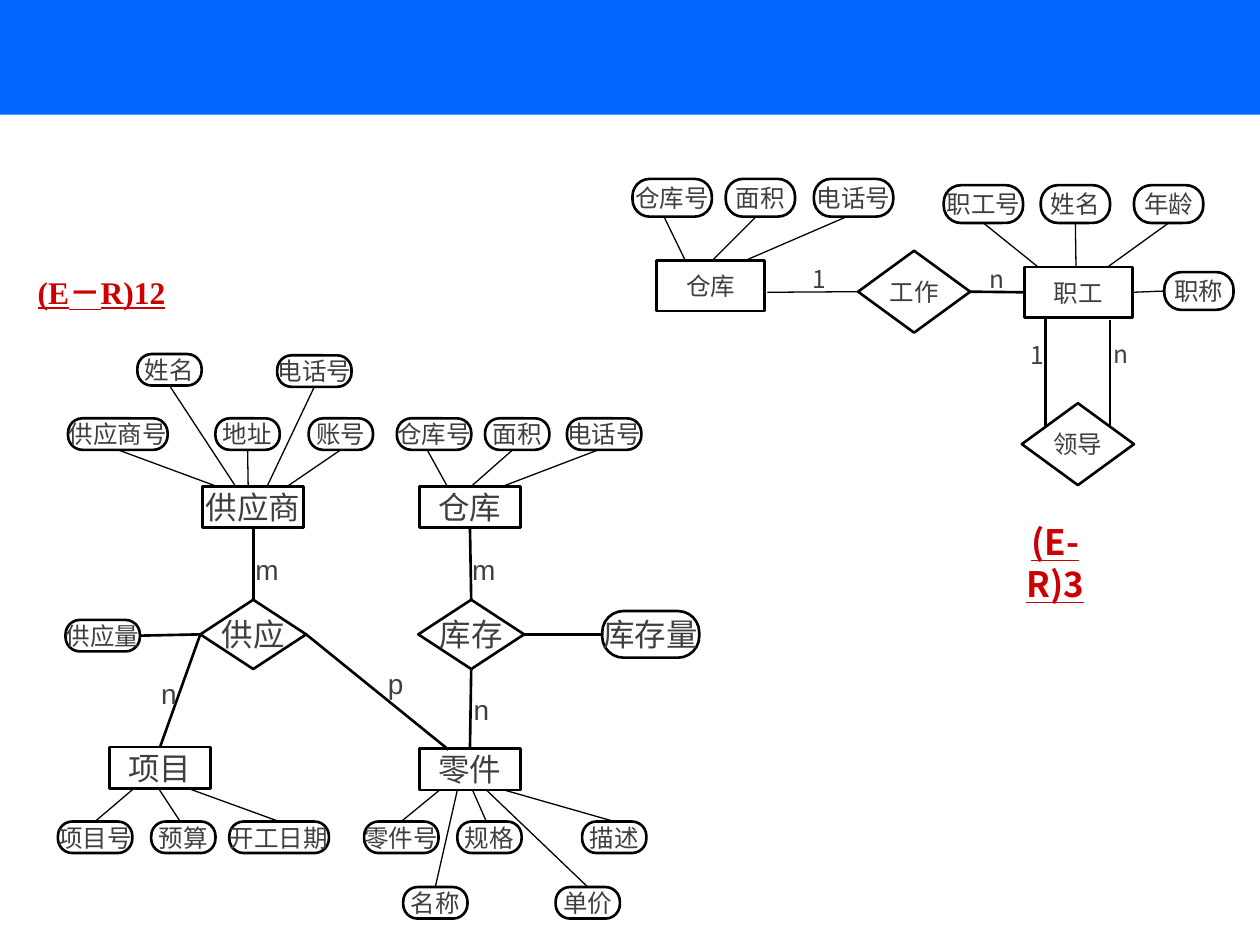
import dataclasses
import typing

import lxml.etree
import pptx
import pptx.dml.color
import pptx.enum.lang
import pptx.enum.shapes
import pptx.enum.text
import pptx.oxml.ns
import pptx.util

HUES = {"bar": "0066FF", "line": "000000", "text": "3F3F3F", "title": "CC0000"}
FORMS = pptx.enum.shapes.MSO_SHAPE
KINDS = {"entity": FORMS.RECTANGLE, "bond": FORMS.DIAMOND, "trait": FORMS.ROUNDED_RECTANGLE}
ALIGN = pptx.enum.text.PP_ALIGN
THICK, THIN = 1.5, 0.75
TOP, LEFT, BOTTOM, RIGHT = range(4)
CHINESE = pptx.enum.lang.MSO_LANGUAGE_ID.SIMPLIFIED_CHINESE


@dataclasses.dataclass
class Style:
    font: str
    size: int       # entities and bonds
    sizes: dict     # width and height of each kind of box
    widths: dict    # trait width by number of letters
    height: float   # trait height


@dataclasses.dataclass
class Node:
    kind: str
    text: str
    x: float
    y: float
    box: typing.Optional[tuple] = None
    size: typing.Optional[int] = None


@dataclasses.dataclass
class Trait:
    owner: str
    text: str
    x: float
    y: float
    foot: float                          # x where the line meets the owner
    tip: typing.Optional[float] = None   # x at the trait, if not its middle


@dataclasses.dataclass
class Link:
    start: tuple    # (node name, side) or (x, y)
    end: tuple
    width: float = THICK


@dataclasses.dataclass
class Label:
    text: str
    x: float
    y: float
    box: tuple
    size: int
    font: str
    look: dict = dataclasses.field(default_factory=dict)
    align: typing.Any = ALIGN.CENTER


def cm(inch: float) -> int:
    return pptx.util.Cm(inch * 2.54)


def hue(name: str):
    return pptx.dml.color.RGBColor.from_string(HUES[name])


def write(frame, text: str, size: int, name: str, align=ALIGN.CENTER, ink="text", **look) -> None:
    para = frame.paragraphs[0]
    para.alignment = align
    run = para.add_run()
    run.text = text
    values = {"size": pptx.util.Pt(size), "name": name, "language_id": CHINESE, **look}
    for key, value in values.items():
        setattr(run.font, key, value)
    run.font.color.rgb = hue(ink)


def draw_node(shapes, node: Node, style: Style):
    width, height = node.box or style.sizes[node.kind]
    shape = shapes.add_shape(KINDS[node.kind], cm(node.x), cm(node.y), cm(width), cm(height))
    if node.kind == "trait":
        shape.adjustments[0] = 0.456
    shape.shadow.inherit = False
    shape.fill.background()
    shape.line.color.rgb = hue("line")
    shape.line.width = pptx.util.Pt(THICK)
    frame = shape.text_frame
    frame.word_wrap = False
    frame.vertical_anchor = pptx.enum.text.MSO_ANCHOR.MIDDLE
    write(frame, node.text, node.size or style.size, style.font)
    return shape


def draw_link(shapes, link: Link, nodes: dict) -> None:
    ends = [(0, 0) if isinstance(end[0], str) else end for end in (link.start, link.end)]
    line = shapes.add_connector(pptx.enum.shapes.MSO_CONNECTOR.STRAIGHT,
                                *(cm(value) for end in ends for value in end))
    for join, end in ((line.begin_connect, link.start), (line.end_connect, link.end)):
        if isinstance(end[0], str):
            join(nodes[end[0]], end[1])
    line.line.color.rgb = hue("line")
    line.line.width = pptx.util.Pt(link.width)
    lxml.etree.SubElement(line._element.spPr, pptx.oxml.ns.qn("a:effectLst"))


def draw_trait(shapes, trait: Trait, nodes: dict, style: Style) -> None:
    box = (style.widths[len(trait.text)], style.height)
    shape = draw_node(shapes, Node("trait", trait.text, trait.x, trait.y, box, 14), style)
    owner = nodes[trait.owner]
    below = shape.top > owner.top
    foot_y = (owner.top + (owner.height if below else 0)) / cm(1)
    end = ("tip", TOP if below else BOTTOM)
    if trait.tip:
        end = (trait.tip, trait.y + (0 if below else style.height))
    draw_link(shapes, Link((trait.foot, foot_y), end, THIN), {"tip": shape})


def draw_label(shapes, label: Label) -> None:
    box = shapes.add_textbox(cm(label.x), cm(label.y), *map(cm, label.box))
    box.text_frame.word_wrap = True
    box.text_frame.auto_size = pptx.enum.text.MSO_AUTO_SIZE.SHAPE_TO_FIT_TEXT
    write(box.text_frame, label.text, label.size, label.font, label.align, **label.look)


def draw_chart(slide, style: Style, nodes: list, traits: list, links: list, labels: list) -> None:
    shapes = slide.shapes.add_group_shape().shapes
    made = {node.text: draw_node(shapes, node, style) for node in nodes}
    for link in links:
        draw_link(shapes, link, made)
    for trait in traits:
        draw_trait(shapes, trait, made, style)
    for label in labels:
        draw_label(shapes, label)


TIMES, NOTO = "Times New Roman", "Noto Sans CJK SC"
TITLE = {"bold": True, "underline": True, "ink": "title"}

# Supply diagram
SUPPLY = Style(TIMES, 18, {"entity": (0.8, 0.33), "bond": (0.84, 0.55)},
               {2: 0.51, 3: 0.59, 4: 0.79}, 0.25)
SUPPLY_NODES = [
    Node("entity", "供应商", 1.61, 3.86), Node("entity", "仓库", 3.33, 3.86),
    Node("entity", "项目", 0.87, 5.93), Node("entity", "零件", 3.33, 5.94),
    Node("bond", "供应", 1.59, 4.76), Node("bond", "库存", 3.32, 4.76),
    Node("trait", "供应量", 0.52, 4.92, (0.59, 0.25), 14),
    Node("trait", "库存量", 4.78, 4.85, (0.77, 0.37)),
]
SUPPLY_TRAITS = [
    Trait("供应商", "供应商号", 0.54, 3.32, 1.72), Trait("供应商", "姓名", 1.09, 2.81, 1.87),
    Trait("供应商", "地址", 1.71, 3.32, 1.97), Trait("供应商", "电话号", 2.2, 2.82, 2.12),
    Trait("供应商", "账号", 2.45, 3.32, 2.28),
    Trait("仓库", "仓库号", 3.15, 3.32, 3.55, 3.39), Trait("仓库", "面积", 3.85, 3.32, 3.74, 4.07),
    Trait("仓库", "电话号", 4.5, 3.32, 3.99, 4.75),
    Trait("项目", "项目号", 0.46, 6.52, 1.06), Trait("项目", "预算", 1.2, 6.52, 1.26, 1.43),
    Trait("项目", "开工日期", 1.82, 6.52, 1.5),
    Trait("零件", "零件号", 2.89, 6.52, 3.49), Trait("零件", "规格", 3.63, 6.52, 3.75, 3.86),
    Trait("零件", "名称", 3.2, 7.04, 3.63), Trait("零件", "单价", 4.41, 7.04, 3.86),
    Trait("零件", "描述", 4.62, 6.52, 4),
]
SUPPLY_LINKS = [
    Link(("供应", TOP), ("供应商", BOTTOM)), Link(("库存", TOP), ("仓库", BOTTOM)),
    Link(("库存", BOTTOM), ("零件", TOP)), Link(("供应", LEFT), ("供应量", RIGHT)),
    Link(("库存", RIGHT), ("库存量", LEFT)), Link(("供应", LEFT), ("项目", TOP)),
    Link(("供应", RIGHT), (3.56, 5.95)),
]
SUPPLY_LABELS = [Label(text, x, y, (0.52, 0.37), 16, "Arial") for text, x, y in (
    ("m", 1.86, 4.34), ("n", 1.08, 5.32), ("p", 2.88, 5.24), ("n", 3.56, 5.45), ("m", 3.58, 4.34))]
SUPPLY_LABELS.append(Label("(E－R)12", 0.2, 2.12, (2.02, 0.4), 18, TIMES, TITLE, ALIGN.LEFT))

# Staff diagram
STAFF = Style(NOTO, 14, {"entity": (0.86, 0.4), "bond": (0.89, 0.65), "trait": (0.55, 0.3)},
              {2: 0.55, 3: 0.63}, 0.3)
STAFF_NODES = [
    Node("entity", "仓库", 5.21, 2.07), Node("bond", "工作", 6.81, 1.99),
    Node("entity", "职工", 8.13, 2.12), Node("bond", "领导", 8.11, 3.2),
    Node("trait", "职称", 9.24, 2.16),
]
STAFF_TRAITS = [
    Trait("仓库", "仓库号", 5.02, 1.42, 5.44, 5.27), Trait("仓库", "面积", 5.76, 1.42, 5.65, 6),
    Trait("仓库", "电话号", 6.46, 1.42, 5.91, 6.72),
    Trait("职工", "职工号", 7.49, 1.47, 8.24), Trait("职工", "姓名", 8.26, 1.47, 8.54),
    Trait("职工", "年龄", 9, 1.47, 8.79),
]
STAFF_LINKS = [
    Link((6.09, 2.32), ("工作", LEFT), THIN), Link(("工作", RIGHT), ("职工", LEFT)),
    Link(("职工", RIGHT), ("职称", LEFT), THIN),
    Link((8.3, 2.53), (8.3, 3.39)), Link((8.81, 2.54), (8.81, 3.4)),
]
STAFF_LABELS = [Label(text, x, y, (0.56, 0.34), 14, NOTO) for text, x, y in (
    ("1", 6.22, 2.05), ("n", 7.63, 2.05), ("1", 7.95, 2.65), ("n", 8.62, 2.64))]


def main() -> None:
    deck = pptx.Presentation()
    deck.slide_width, deck.slide_height = cm(10), cm(7.5)
    slide = deck.slides.add_slide(deck.slide_layouts[6])

    # Top bar
    bar = slide.shapes.add_shape(FORMS.RECTANGLE, 0, 0, cm(10), cm(0.91))
    bar.shadow.inherit = False
    bar.fill.solid()
    bar.fill.fore_color.rgb = hue("bar")
    bar.line.fill.background()

    # Diagrams and the staff title
    draw_chart(slide, SUPPLY, SUPPLY_NODES, SUPPLY_TRAITS, SUPPLY_LINKS, SUPPLY_LABELS)
    draw_chart(slide, STAFF, STAFF_NODES, STAFF_TRAITS, STAFF_LINKS, STAFF_LABELS)
    draw_label(slide.shapes, Label("(E-R)3", 7.86, 4.08, (1.03, 0.43), 20, NOTO, TITLE))
    deck.save("out.pptx")


if __name__ == "__main__":
    main()
